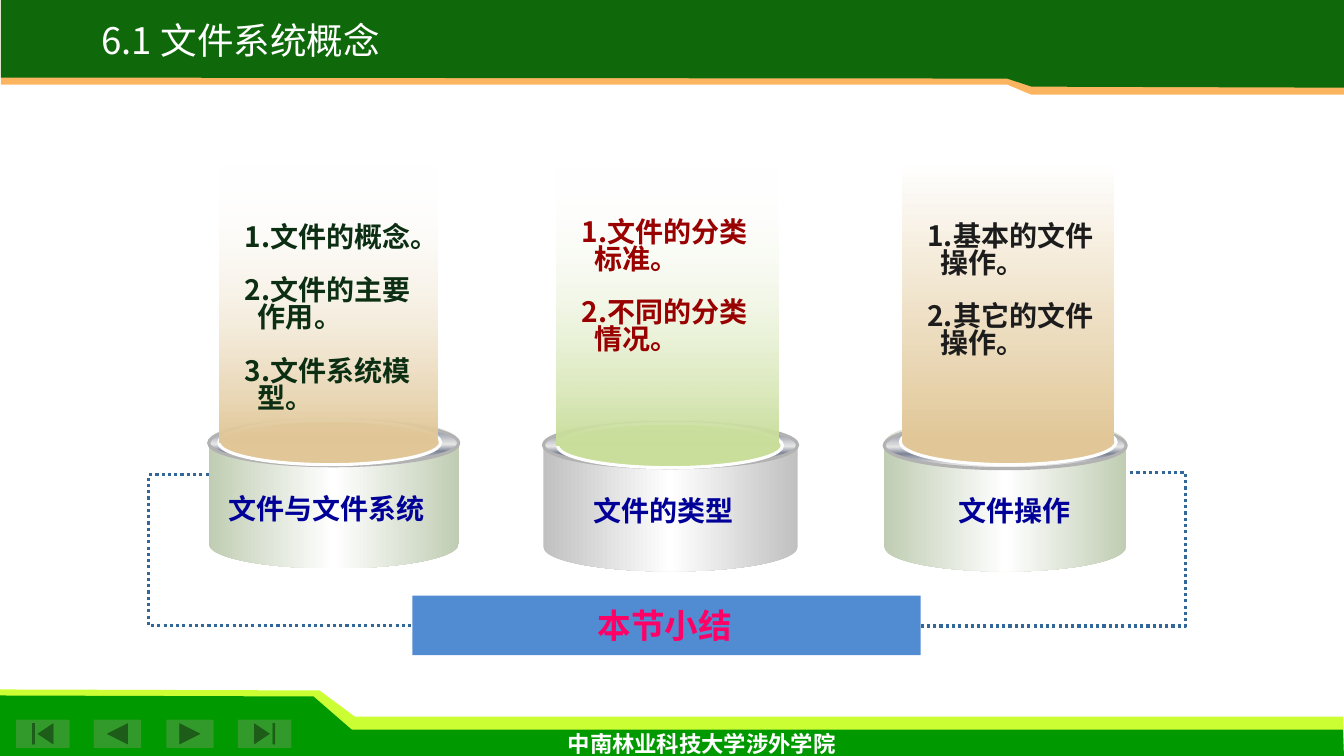
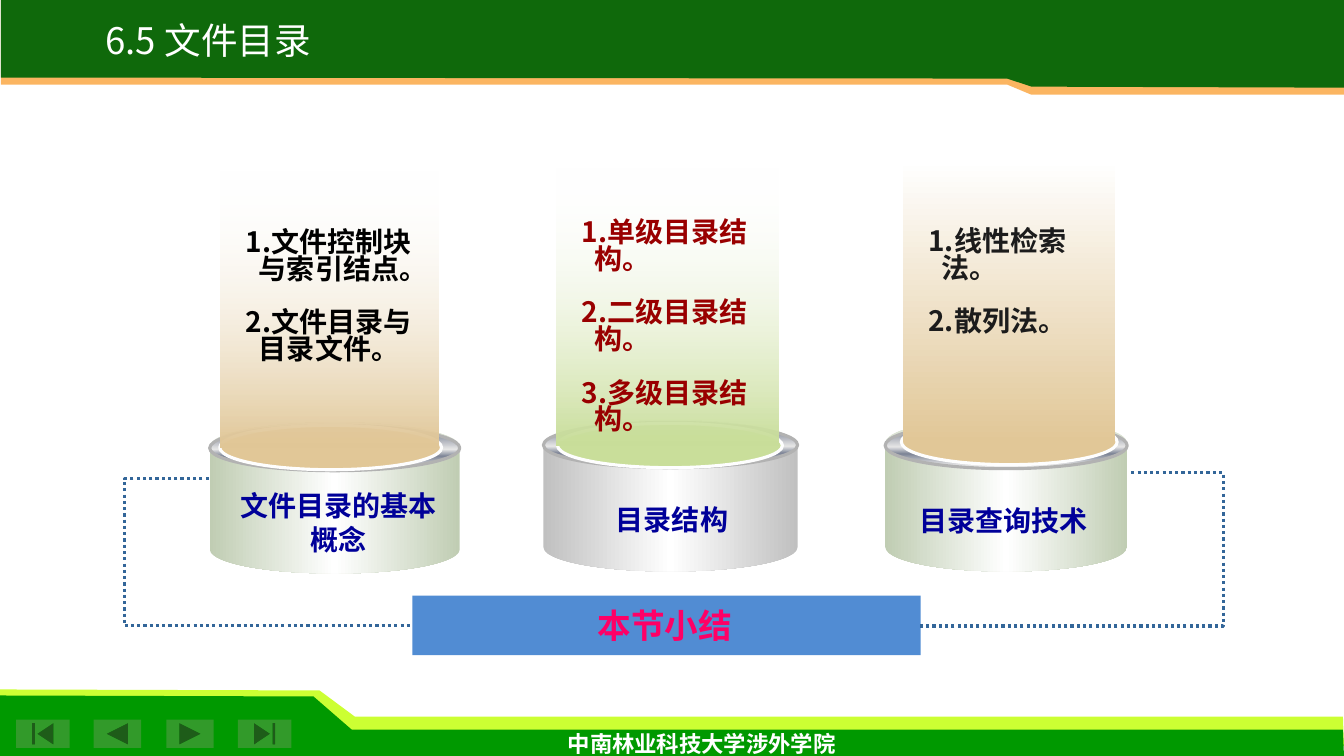
from lxml import etree
from pptx import Presentation
from pptx import util as u
from pptx.dml.color import RGBColor
from pptx.enum import dml, shapes, text
from pptx.oxml.ns import qn

WHITE = RGBColor(0xFF, 0xFF, 0xFF)
LIME = RGBColor(0xCC, 0xFF, 0x33)
GREEN = RGBColor(0x00, 0x99, 0x00)
BUTTON_GREEN = RGBColor(0x32, 0x9A, 0x2A)
DARK_GREEN = RGBColor(0x0F, 0x69, 0x0B)
ORANGE = RGBColor(0xFB, 0xB5, 0x61)
BLUE = RGBColor(0x51, 0x8C, 0xD3)
LINK_BLUE = RGBColor(0x33, 0x66, 0x99)
NAVY = RGBColor(0x00, 0x00, 0x99)
PINK = RGBColor(0xFF, 0x00, 0x66)
SAGE = RGBColor(0xC0, 0xCD, 0xB3)
SILVER = RGBColor(0xC0, 0xC0, 0xC0)
LIGHT_GREY = RGBColor(0xE6, 0xE6, 0xE6)
STEEL = RGBColor(0x7D, 0x84, 0x96)
RIM_GREY = RGBColor(0xB2, 0xB2, 0xB2)
DISC_EDGE = RGBColor(0xFE, 0xFE, 0xFE)
SAND = RGBColor(0xE1, 0xC7, 0x97)
LEAF = RGBColor(0xC9, 0xDE, 0x9A)
FOREST = RGBColor(0x0C, 0x2F, 0x13)
MAROON = RGBColor(0x99, 0x00, 0x00)
CHARCOAL = RGBColor(0x1C, 0x1C, 0x1C)
BLACK = RGBColor(0x00, 0x00, 0x00)

CJK_FONT = "Noto Sans CJK SC"
PRESET = shapes.MSO_SHAPE
CENTER = text.PP_ALIGN.CENTER

BANDS = [
    (LIME, [(0.01, 7.4), (13.33, 7.4), (13.32, 7.11), (3.52, 7.11), (3.17, 6.85), (0, 6.84)]),
    (GREEN, [(0, 7.5), (13.33, 7.5), (13.32, 7.24), (3.49, 7.24), (3.11, 6.91), (0, 6.9)]),
    (ORANGE, [(13.33, 0), (0.01, 0), (0.01, 0.84), (9.99, 0.84), (10.23, 0.94), (13.33, 0.94)]),
    (DARK_GREEN, [(13.33, 0), (0.01, 0), (0.01, 0.77), (9.99, 0.78), (10.23, 0.86), (13.33, 0.87)]),
]
BUTTONS = [
    (PRESET.ACTION_BUTTON_BEGINNING, 0.16, 0.53),
    (PRESET.ACTION_BUTTON_BACK_OR_PREVIOUS, 0.93, 0.47),
    (PRESET.ACTION_BUTTON_FORWARD_OR_NEXT, 1.65, 0.47),
    (PRESET.ACTION_BUTTON_END, 2.36, 0.53),
]
RIM_STOPS = [(0, LIGHT_GREY, 100), (15, STEEL, 100), (53, LIGHT_GREY, 100),
             (68, STEEL, 100), (93, LIGHT_GREY, 100), (100, WHITE, 100)]
PILLARS = [
    dict(can=(2.07, 4.14, 2.48, 1.5), rim=(2.07, 4.17, 2.48, 0.45), disc=(2.17, 4.17, 2.2, 0.44),
         beam=(2.18, 1.63, 2.16, 2.76), metal=SAGE, light=SAND, top_alpha=0),
    dict(can=(5.39, 4.17, 2.52, 1.5), rim=(5.39, 4.19, 2.52, 0.45), disc=(5.53, 4.2, 2.23, 0.44),
         beam=(5.52, 1.66, 2.2, 2.76), metal=SILVER, light=LEAF, top_alpha=0),
    dict(can=(8.77, 4.15, 2.4, 1.52), rim=(8.77, 4.19, 2.4, 0.46), disc=(8.93, 4.16, 2.14, 0.45),
         beam=(8.95, 1.59, 2.1, 2.8), metal=SAGE, light=SAND, top_alpha=100),
]
SLIDES = [
    dict(
        title="6.1 文件系统概念", title_box=(0.5, 0.21, 3.78, 0.46),
        links=[(2.07, 4.71, 4.09, -0.294), (11.21, 4.69, 9.13, -0.264)],
        columns=[
            dict(shift=(0, 0), items=["文件的概念。", "文件的主要作用。", "文件系统模型。"],
                 items_box=(2.33, 2.19, 2.05, 1.98), color=FOREST,
                 label="文件与文件系统", label_box=(2.02, 4.83, 2.44, 0.44)),
            dict(shift=(0, 0), items=["文件的分类标准。", "不同的分类情况。"],
                 items_box=(5.67, 2.14, 2.1, 1.72), color=MAROON,
                 label="文件的类型", label_box=(5.09, 4.85, 2.99, 0.44)),
            dict(shift=(0, 0), items=["基本的文件操作。", "其它的文件操作。"],
                 items_box=(9.1, 2.18, 2.01, 1.98), color=CHARCOAL,
                 label="文件操作", label_box=(8.67, 4.85, 2.79, 0.44)),
        ],
    ),
    dict(
        title="6.5 文件目录", title_box=(0.57, 0.21, 2.99, 0.46),
        links=[(2.07, 4.75, 4.09, -0.415), (11.22, 4.69, 9.13, -0.437)],
        columns=[
            dict(shift=(0.01, 0.05), items=["文件控制块与索引结点。", "文件目录与目录文件。"],
                 items_box=(2.34, 2.24, 2.05, 1.98), color=BLACK,
                 label="文件目录的基本概念", label_box=(2.26, 4.8, 2.2, 0.77)),
            dict(shift=(0, 0), items=["单级目录结构。", "二级目录结构。", "多级目录结构。"],
                 items_box=(5.67, 2.14, 2.1, 2.25), color=MAROON,
                 label="目录结构", label_box=(5.17, 4.94, 2.99, 0.44)),
            dict(shift=(0.01, 0), items=["线性检索法。", "散列法。"],
                 items_box=(9.11, 2.23, 1.81, 1.45), color=CHARCOAL,
                 label="目录查询技术", label_box=(8.56, 4.95, 2.79, 0.44)),
        ],
    ),
]


def paint(shape, fill, angle=0, edge=None):
    shape.shadow.inherit = False
    if isinstance(fill, list):
        shape.fill.gradient()
        shape.fill.gradient_angle = 360 - angle
        stops = shape._element.spPr.find(qn("a:gradFill")).find(qn("a:gsLst"))
        stops.clear()
        for position, color, alpha in fill:
            stop = etree.SubElement(stops, qn("a:gs"), pos=str(position * 1000))
            shade = etree.SubElement(stop, qn("a:srgbClr"), val=str(color))
            if alpha < 100:
                etree.SubElement(shade, qn("a:alpha"), val=str(alpha * 1000))
    else:
        shape.fill.solid()
        shape.fill.fore_color.rgb = fill
    if edge is None:
        shape.line.fill.background()
    else:
        shape.line.color.rgb = edge
        shape.line.width = u.Pt(2.25)


def add_text(slide, lines, box, size=20, color=NAVY, font="Arial", bold=True, align=CENTER,
             spacing=None, numbered=False, wrap=True, anchor=text.MSO_ANCHOR.TOP):
    frame = slide.shapes.add_textbox(*map(u.Inches, box)).text_frame
    frame.word_wrap = wrap
    frame.vertical_anchor = anchor
    for index, line in enumerate(lines):
        paragraph = frame.paragraphs[0] if index == 0 else frame.add_paragraph()
        if numbered:
            properties = paragraph._p.get_or_add_pPr()
            properties.set("marL", str(u.Inches(0.13)))
            properties.set("indent", str(u.Inches(-0.13)))
            etree.SubElement(properties, qn("a:buFont"), typeface=CJK_FONT)
            etree.SubElement(properties, qn("a:buAutoNum"), type="arabicPeriod")
        paragraph.alignment = align
        if spacing:
            paragraph.line_spacing = spacing
        if index:
            paragraph.space_before = u.Pt(19)
        run = paragraph.add_run()
        run.text = line
        run.font.size = u.Pt(size)
        run.font.bold = bold
        run.font.name = font
        run.font.color.rgb = color
        etree.SubElement(run._r.get_or_add_rPr(), qn("a:ea"), typeface=CJK_FONT)


presentation = Presentation()
presentation.slide_width = u.Inches(13.33)
presentation.slide_height = u.Inches(7.5)

for content in SLIDES:
    slide = presentation.slides.add_slide(presentation.slide_layouts[6])

    for color, points in BANDS:
        corners = [(u.Inches(x), u.Inches(y)) for x, y in points]
        builder = slide.shapes.build_freeform(*corners[0])
        builder.add_line_segments(corners[1:], close=True)
        paint(builder.convert_to_shape(), color)

    for preset, left, width in BUTTONS:
        button = slide.shapes.add_shape(
            preset, u.Inches(left), u.Inches(7.14), u.Inches(width), u.Inches(0.28))
        paint(button, BUTTON_GREEN)

    add_text(slide, ["中南林业科技大学涉外学院"], (4.15, 7.19, 5.62, 0.37),
             size=16, color=WHITE, font="Times New Roman")

    summary = slide.shapes.add_shape(
        PRESET.ROUNDED_RECTANGLE, u.Inches(4.09), u.Inches(5.91), u.Inches(5.04), u.Inches(0.59))
    summary.adjustments[0] = 0
    paint(summary, BLUE)

    for start_x, start_y, end_x, bend in content["links"]:
        link = slide.shapes.add_connector(
            shapes.MSO_CONNECTOR.ELBOW, u.Inches(start_x), u.Inches(start_y),
            u.Inches(end_x), u.Inches(6.21))
        link.line.color.rgb = LINK_BLUE
        link.line.width = u.Pt(2.25)
        link.line.dash_style = dml.MSO_LINE.ROUND_DOT
        properties = link._element.spPr
        etree.SubElement(properties, qn("a:effectLst"))
        geometry = properties.find(qn("a:prstGeom"))
        guides = geometry.find(qn("a:avLst"))
        if guides is None:
            guides = etree.SubElement(geometry, qn("a:avLst"))
        etree.SubElement(guides, qn("a:gd"), name="adj1", fmla=f"val {round(bend * 100000)}")

    add_text(slide, ["本节小结"], (4.7, 5.95, 3.79, 0.5), size=24, color=PINK)

    for pillar, column in zip(PILLARS, content["columns"]):
        metal = [(0, pillar["metal"], 100), (50, WHITE, 100), (100, pillar["metal"], 100)]
        beam = [(0, WHITE, pillar["top_alpha"]), (100, pillar["light"], 100)]
        parts = [
            ("can", PRESET.CAN, metal, 0, None),
            ("rim", PRESET.OVAL, RIM_STOPS, 90, RIM_GREY),
            ("disc", PRESET.OVAL, pillar["light"], 0, DISC_EDGE),
            ("beam", PRESET.RECTANGLE, beam, 90, None),
        ]
        shift_x, shift_y = column["shift"]
        for part, preset, fill, angle, edge in parts:
            left, top, width, height = pillar[part]
            shape = slide.shapes.add_shape(
                preset, u.Inches(left + shift_x), u.Inches(top + shift_y),
                u.Inches(width), u.Inches(height))
            if part == "can":
                shape.adjustments[0] = 0.32
            paint(shape, fill, angle, edge)
        add_text(slide, column["items"], column["items_box"], color=column["color"],
                 align=text.PP_ALIGN.LEFT, spacing=0.8, numbered=True)
        add_text(slide, [column["label"]], column["label_box"])

    add_text(slide, [content["title"]], content["title_box"], size=26.1, color=WHITE,
             font=CJK_FONT, bold=False, spacing=0.8, wrap=False, anchor=text.MSO_ANCHOR.MIDDLE)

presentation.save("out.pptx")
